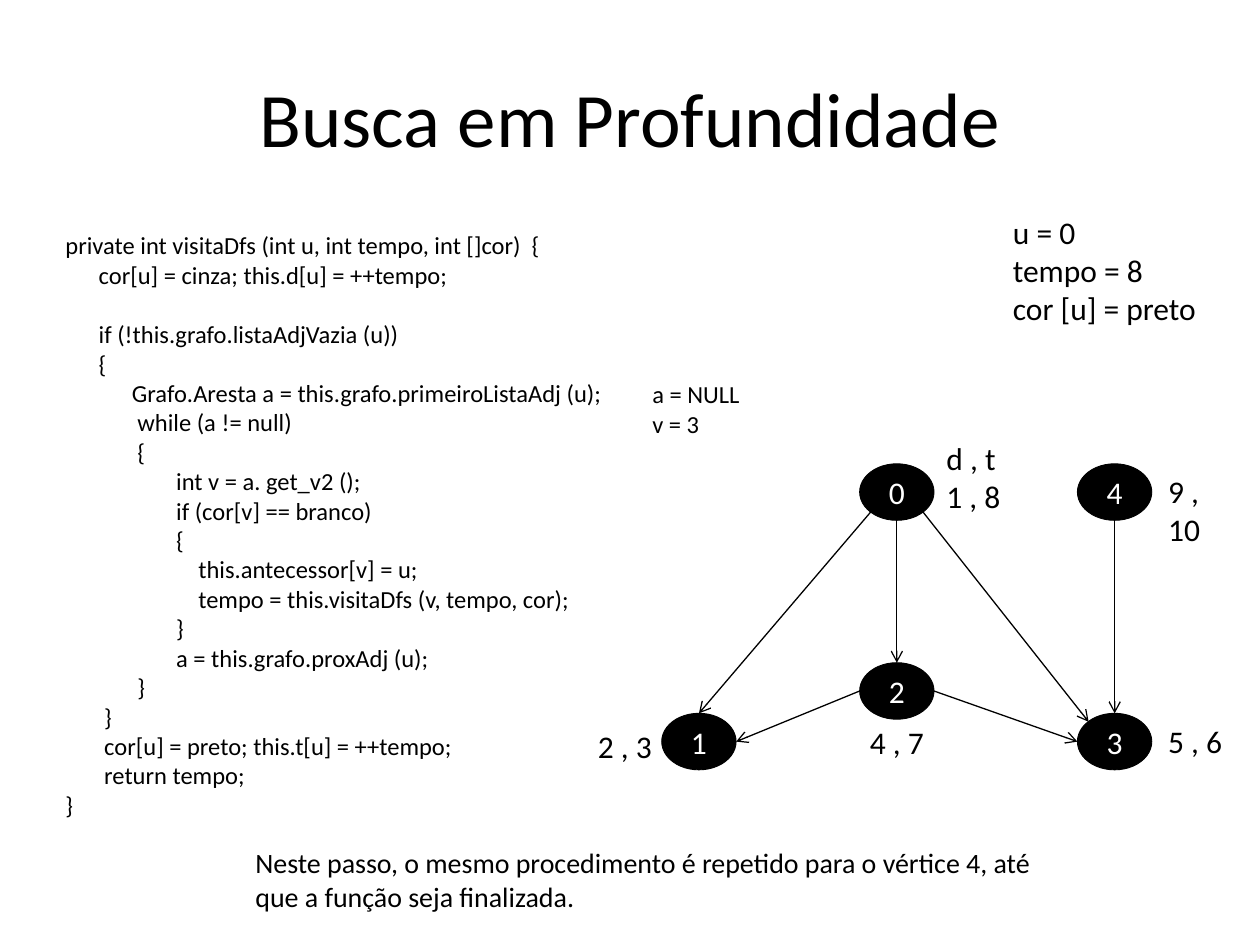
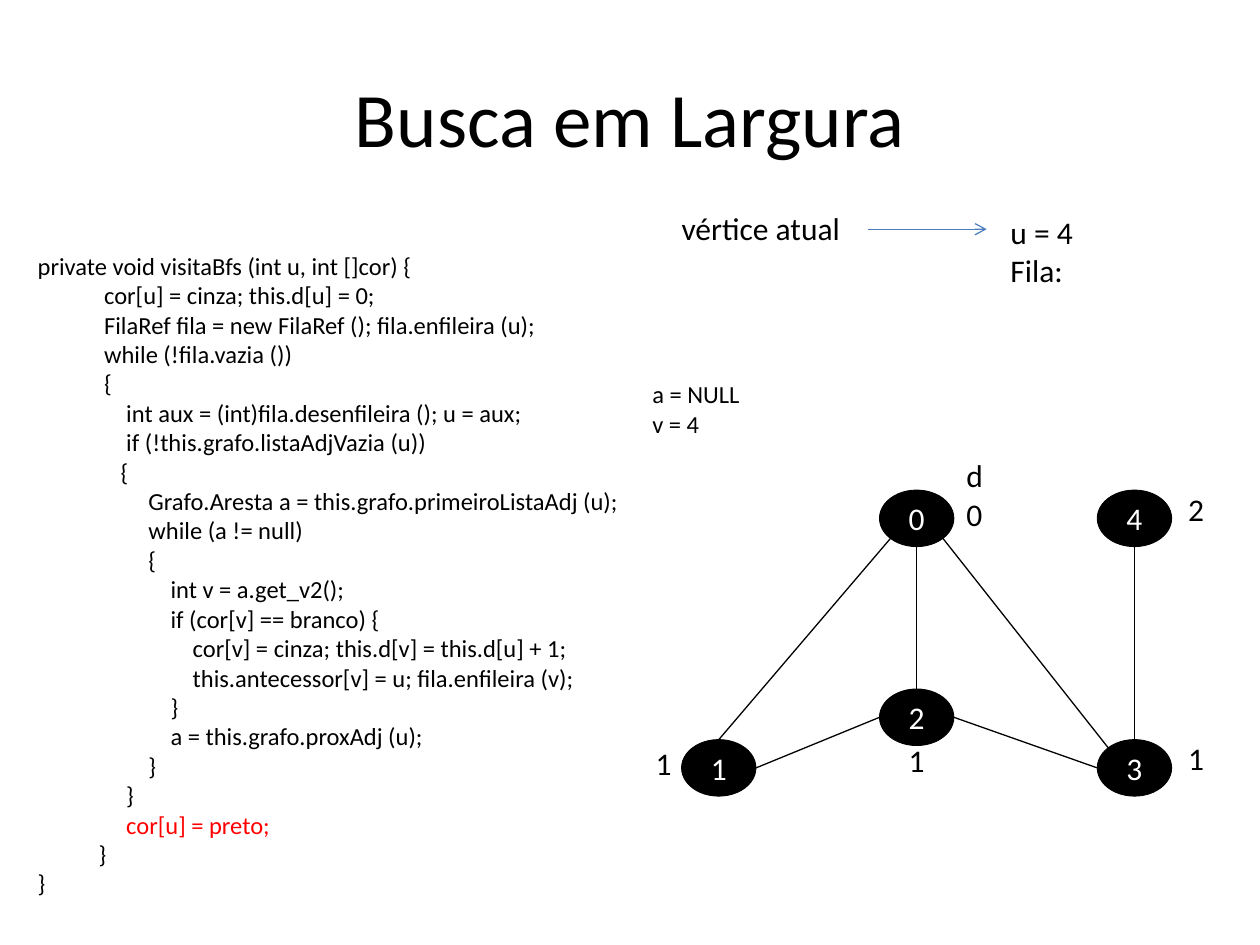
import dataclasses

import pptx
import pptx.dml.color
import pptx.enum.shapes
import pptx.enum.text
import pptx.oxml.ns
import pptx.util
from lxml import etree

Cm = pptx.util.Cm
Pt = pptx.util.Pt
ALIGN = pptx.enum.text.PP_ALIGN
ANCHOR = pptx.enum.text.MSO_ANCHOR
AUTO_SIZE = pptx.enum.text.MSO_AUTO_SIZE
SHAPE = pptx.enum.shapes.MSO_SHAPE
CONNECTOR = pptx.enum.shapes.MSO_CONNECTOR
qualified = pptx.oxml.ns.qn


def colour(value):
    return pptx.dml.color.RGBColor.from_string(value)


@dataclasses.dataclass(frozen=True)
class Theme:
    font: str = "Calibri"
    ink: str = "000000"
    paper: str = "FFFFFF"
    highlight: str = "FF0000"
    pointer: str = "4B7EBC"
    title_size: int = 44
    label_size: int = 18
    note_size: int = 16
    code_size: int = 14
    code_line: float = 17.1
    outline: float = 0.5
    edge: float = 0.75


@dataclasses.dataclass(frozen=True)
class Box:
    """A rectangle in centimetres."""
    left: float
    top: float
    width: float
    height: float

    def inner(self, left, top, width, height):
        return Box(self.left + left, self.top + top, width, height)

    def point(self, across, down):
        return self.left + across * self.width, self.top + down * self.height

    def lengths(self):
        return Cm(self.left), Cm(self.top), Cm(self.width), Cm(self.height)


THEME = Theme()
PAGE = Box(0, 0, 25.4, 19.05)
TITLE = Box(1.27, 0.76, 22.86, 3.18)
VARIABLES = Box(12.9, 7.52, 2.29, 1.45)

NODE_WIDTH, NODE_HEIGHT = 1.5, 1.14
NODES = {"0": (3.99, 0), "1": (0, 5.03), "2": (3.99, 4.01),
         "3": (8.38, 5.03), "4": (8.38, 0)}

# Attachment points on a node, as fractions of its box
SITES = {"top": (0.5, 0), "bottom": (0.5, 1), "left": (0, 0.5), "right": (1, 0.5),
         "top left": (0.15, 0.15), "bottom left": (0.15, 0.85),
         "bottom right": (0.85, 0.85)}
EDGES = [("0", "bottom left", "1", "top"), ("0", "bottom", "2", "top"),
         ("0", "bottom right", "3", "top left"), ("2", "left", "1", "right"),
         ("2", "right", "3", "left"), ("4", "bottom", "3", "top")]

# Each code line is its indent in spaces and its text
DEPTH_CODE = [
    (0, "private int visitaDfs (int u, int tempo, int []cor)  {"),
    (6, "cor[u] = cinza; this.d[u] = ++tempo;"),
    (0, ""),
    (6, "if (!this.grafo.listaAdjVazia (u))"),
    (6, "{"),
    (12, "Grafo.Aresta a = this.grafo.primeiroListaAdj (u);"),
    (13, "while (a != null)"),
    (13, "{"),
    (20, "int v = a. get_v2 ();"),
    (20, "if (cor[v] == branco)"),
    (20, "{"),
    (24, "this.antecessor[v] = u;"),
    (24, "tempo = this.visitaDfs (v, tempo, cor);"),
    (20, "}"),
    (20, "a = this.grafo.proxAdj (u);"),
    (13, "}"),
    (7, "}"),
    (7, "cor[u] = preto; this.t[u] = ++tempo;"),
    (7, "return tempo;"),
    (0, "}"),
]

BREADTH_CODE = [
    (0, "private void visitaBfs (int u, int []cor) {"),
    (12, "cor[u] = cinza; this.d[u] = 0;"),
    (12, "FilaRef fila = new FilaRef (); fila.enfileira (u);"),
    (12, "while (!fila.vazia ())"),
    (12, "{"),
    (16, "int aux = (int)fila.desenfileira (); u = aux;"),
    (16, "if (!this.grafo.listaAdjVazia (u))"),
    (15, "{"),
    (20, "Grafo.Aresta a = this.grafo.primeiroListaAdj (u);"),
    (20, "while (a != null)"),
    (20, "{"),
    (24, "int v = a.get_v2();"),
    (24, "if (cor[v] == branco) {"),
    (28, "cor[v] = cinza; this.d[v] = this.d[u] + 1;"),
    (28, "this.antecessor[v] = u; fila.enfileira (v);"),
    (24, "}"),
    (24, "a = this.grafo.proxAdj (u);"),
    (20, "}"),
    (16, "}"),
    (16, "cor[u] = preto;"),
    (11, "}"),
    (0, "}"),
]


def add_span(para, text, size, ink=THEME.ink):
    span = para.add_run()
    span.text = text
    span.font.name = THEME.font
    span.font.size = Pt(size)
    span.font.color.rgb = colour(ink)


def add_text(page, box, lines, size, align=ALIGN.LEFT, anchor=ANCHOR.TOP,
             wrap=False, highlighted=None):
    """Write one paragraph per line; an empty line becomes space before the next."""
    shape = page.shapes.add_textbox(*box.lengths())
    frame = shape.text_frame
    frame.word_wrap = wrap
    frame.auto_size = AUTO_SIZE.NONE if anchor == ANCHOR.MIDDLE else AUTO_SIZE.SHAPE_TO_FIT_TEXT
    frame.vertical_anchor = anchor
    para, gap = None, False
    for line in lines:
        if not line:
            gap = True
            continue
        para = frame.paragraphs[0] if para is None else frame.add_paragraph()
        para.alignment = align
        if gap:
            para.space_before = Pt(THEME.code_line)
            gap = False
        marked = line.strip() == highlighted
        add_span(para, line, size, THEME.highlight if marked else THEME.ink)


def add_line(page, start, end, ink=THEME.ink, arrow=False):
    line = page.shapes.add_connector(CONNECTOR.STRAIGHT, *map(Cm, start + end))
    line.line.color.rgb = colour(ink)
    line.line.width = Pt(THEME.edge)
    properties = line._element.spPr
    if arrow:
        tail = etree.SubElement(properties.find(qualified("a:ln")), qualified("a:tailEnd"))
        tail.set("type", "arrow")
    etree.SubElement(properties, qualified("a:effectLst"))


def add_title(page, text):
    add_text(page, TITLE, [text], THEME.title_size, ALIGN.CENTER, ANCHOR.MIDDLE, wrap=True)


def add_code(page, box, code, highlighted=None):
    lines = [" " * indent + text for indent, text in code]
    add_text(page, box, lines, THEME.code_size, highlighted=highlighted)


def add_node(page, box, name):
    node = page.shapes.add_shape(SHAPE.OVAL, *box.lengths())
    node.shadow.inherit = False
    node.fill.solid()
    node.fill.fore_color.rgb = colour(THEME.ink)
    node.line.color.rgb = colour(THEME.ink)
    node.line.width = Pt(THEME.outline)
    node.text_frame.vertical_anchor = ANCHOR.MIDDLE
    para = node.text_frame.paragraphs[0]
    para.alignment = ALIGN.CENTER
    add_span(para, name, THEME.label_size, THEME.paper)


def add_node_label(page, node, text, side, drop):
    """Place a label beside or below a node; drop moves it down."""
    width = 0.64 + 0.2 * len(text)
    left, top, align = {
        "near right": (NODE_WIDTH, 0.15, ALIGN.LEFT),
        "right": (1.58, 0.05, ALIGN.LEFT),
        "left": (0.05 - width, 0.15, ALIGN.RIGHT),
        "below": ((NODE_WIDTH - width) / 2, 1.1, ALIGN.CENTER),
        "header": (NODE_WIDTH, -0.63, ALIGN.LEFT),
    }[side]
    add_text(page, node.inner(left, top + drop, width, 1.02), [text],
             THEME.label_size, align)


def add_graph(page, box, header, labels, drop=0, directed=False):
    """Draw the five-vertex graph; labels follow the order of the vertices."""
    nodes = {name: box.inner(*place, NODE_WIDTH, NODE_HEIGHT)
             for name, place in NODES.items()}
    for name, node in nodes.items():
        add_node(page, node, name)
    for start, start_site, end, end_site in EDGES:
        add_line(page, nodes[start].point(*SITES[start_site]),
                 nodes[end].point(*SITES[end_site]), arrow=directed)
    sides = ["near right", "left", "below", "right", "right"]
    for node, text, side in zip(nodes.values(), labels, sides):
        add_node_label(page, node, text, side, drop)
    add_node_label(page, nodes["0"], header, "header", drop)


def add_depth_page(deck):
    page = deck.slides.add_slide(deck.slide_layouts[6])
    add_title(page, "Busca em Profundidade")
    add_code(page, PAGE.inner(1.07, 4.52, 11.4, 12.22), DEPTH_CODE)
    add_graph(page, PAGE.inner(13.34, 9.35, 9.88, 6.17), "d , t",
              ["1 , 8", "2 , 3", "4 , 7", "5 , 6", "9 , 10"], directed=True)
    add_text(page, PAGE.inner(20.17, 4.17, 4.24, 2.57),
             ["u = 0", "tempo = 8", "cor [u] = preto"], THEME.label_size)
    add_text(page, VARIABLES, ["a = NULL", "v = 3"], THEME.code_size)
    add_text(page, PAGE.inner(4.9, 16.92, 16.41, 1.63),
             ["Neste passo, o mesmo procedimento é repetido para o vértice 4, "
              "até que a função seja finalizada."], THEME.note_size, wrap=True)


def add_breadth_page(deck):
    page = deck.slides.add_slide(deck.slide_layouts[6])
    add_title(page, "Busca em Largura")
    add_code(page, PAGE.inner(0.51, 4.93, 12.29, 13.41), BREADTH_CODE, "cor[u] = preto;")
    add_graph(page, PAGE.inner(13.74, 9.88, 9.88, 6.17), "d",
              ["0", "1", "1", "1", "2"], drop=-0.18)
    add_text(page, PAGE.inner(20.12, 4.17, 2.31, 1.8), ["u = 4", "Fila:"], THEME.label_size)
    add_text(page, PAGE.inner(13.49, 4.09, 3.76, 1.02), ["vértice atual"], THEME.label_size)
    add_line(page, (17.5, 4.62), (19.89, 4.62), THEME.pointer, arrow=True)
    add_text(page, VARIABLES, ["a = NULL", "v = 4"], THEME.code_size)


def main():
    deck = pptx.Presentation()
    deck.slide_width, deck.slide_height = Cm(PAGE.width), Cm(PAGE.height)
    add_depth_page(deck)
    add_breadth_page(deck)
    deck.save("out.pptx")


if __name__ == "__main__":
    main()
